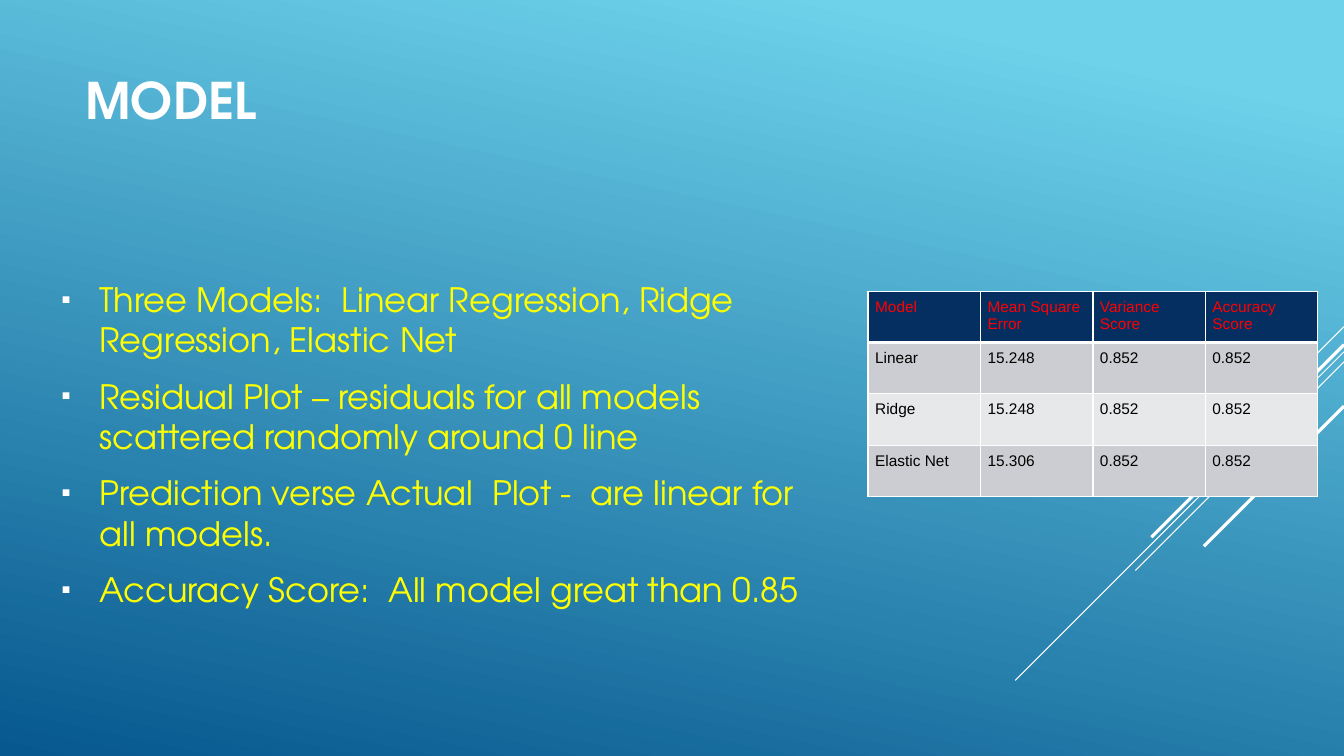
import dataclasses

import pptx
import pptx.dml.color
import pptx.enum.shapes
import pptx.enum.text
import pptx.oxml
import pptx.oxml.ns
import pptx.util
from pptx.util import Inches, Pt


@dataclasses.dataclass(frozen=True)
class Theme:
    """Colours, fonts and type sizes of the slide."""
    sky: str = "6ED2EB"
    deep: str = "06588E"
    white: str = "FFFFFF"
    bullet_text: str = "FFFF00"
    header_fill: str = "052F61"
    header_text: str = "FF0000"
    cell_text: str = "000000"
    bands: tuple = ("CCCDD2", "E7E8EA")
    display_font: str = "TeX Gyre Adventor"
    table_font: str = "Arial"
    title_size: float = 36
    body_size: float = 24
    table_size: float = 11


THEME = Theme()
WIDTH, HEIGHT = 13.33, 7.5
RAYS = [(3.24, 1, 0.75), (3.49, 3.26, 0.75), (3.59, 2.07, 0.75),
        (3.42, 1.91, 2.25), (4.03, 1.39, 2.25)]
BULLETS = [
    "Three Models:  Linear Regression, Ridge Regression, Elastic Net",
    "Residual Plot – residuals for all models scattered randomly around 0 line",
    "Prediction verse Actual  Plot -  are linear for all models.",
    "Accuracy Score:  All model great than 0.85",
]
SCORES = [
    ("Model", "Mean Square Error", "Variance Score", "Accuracy Score"),
    ("Linear", "15.248", "0.852", "0.852"),
    ("Ridge", "15.248", "0.852", "0.852"),
    ("Elastic Net", "15.306", "0.852", "0.852"),
]


def rgb(colour):
    """Turn a hex string into a colour."""
    return pptx.dml.color.RGBColor.from_string(colour)


def xml(markup):
    """Parse a DrawingML element whose start tag ends at the first space or slash."""
    head, rest = markup.split(" ", 1)
    return pptx.oxml.parse_xml(f"{head} {pptx.oxml.ns.nsdecls('a')} {rest}")


def write(para, text, *, size, colour, font, bold=False):
    """Add a formatted span of text to a paragraph."""
    span = para.add_run()
    span.text = text
    span.font.size = Pt(size)
    span.font.name = font
    span.font.bold = bold
    span.font.color.rgb = rgb(colour)


def add_frame(page, left, top, width, height):
    """Add a wrapping, vertically centred text box and return its frame."""
    box = page.shapes.add_textbox(Inches(left), Inches(top), Inches(width), Inches(height))
    frame = box.text_frame
    frame.word_wrap = True
    frame.vertical_anchor = pptx.enum.text.MSO_ANCHOR.MIDDLE
    return frame


def paint_background(page):
    """Fill the page with the slanted blue gradient."""
    fill = page.background.fill
    fill.gradient()
    fill.gradient_angle = 258
    stops = zip(fill.gradient_stops, (0.1, 1), (THEME.sky, THEME.deep))
    for stop, position, colour in stops:
        stop.position = position
        stop.color.rgb = rgb(colour)


def draw_rays(page, right):
    """Draw the diagonal rays falling leftwards from the right edge."""
    for top, reach, weight in RAYS:
        ray = page.shapes.add_connector(
            pptx.enum.shapes.MSO_CONNECTOR.STRAIGHT,
            Inches(right), Inches(top), Inches(right - reach), Inches(top + reach))
        ray.line.color.rgb = rgb(THEME.white)
        ray.line.width = Pt(weight)
        ray._element.spPr.append(xml("<a:effectLst />"))


def add_title(page, left, top, width, height):
    """Place the slide title."""
    frame = add_frame(page, left, top, width, height)
    write(frame.paragraphs[0], "MODEL", size=THEME.title_size,
          colour=THEME.white, font=THEME.display_font, bold=True)


def add_bullets(page, left, top, width, height):
    """Place the bulleted findings."""
    frame = add_frame(page, left, top, width, height)
    for index, text in enumerate(BULLETS):
        para = frame.add_paragraph() if index else frame.paragraphs[0]
        para.space_before = Pt(5.5)
        para.space_after = Pt(6)
        props = para._p.get_or_add_pPr()
        props.set("marL", str(Inches(0.38)))
        props.set("indent", str(Inches(-0.38)))
        for markup in (f'<a:buClr ><a:srgbClr val="{THEME.white}"/></a:buClr>',
                       '<a:buSzPct val="80000"/>',
                       f'<a:buFont typeface="{THEME.table_font}"/>',
                       '<a:buChar char="▪"/>'):
            props.append(xml(markup))
        write(para, text, size=THEME.body_size,
              colour=THEME.bullet_text, font=THEME.display_font)


def set_borders(cell, top, bottom):
    """Give a cell white borders with the top and bottom weights in points."""
    props = cell._tc.get_or_add_tcPr()
    for side, weight in (("L", 1), ("R", 1), ("T", top), ("B", bottom)):
        props.append(xml(
            f'<a:ln{side} w="{Pt(weight)}"><a:solidFill><a:srgbClr val="{THEME.white}"/>'
            f'</a:solidFill></a:ln{side}>'))


def add_scores(page, left, top, width, height):
    """Place the table of model scores."""
    rows, columns = len(SCORES), len(SCORES[0])
    header_height = 0.49
    table = page.shapes.add_table(rows, columns, Inches(left), Inches(top),
                                  Inches(width), Inches(height)).table
    for column in table.columns:
        column.width = Inches(width / columns)
    for index, (row, values) in enumerate(zip(table.rows, SCORES)):
        header = index == 0
        row.height = Inches(header_height if header else (height - header_height) / (rows - 1))
        for cell, value in zip(row.cells, values):
            cell.margin_left = cell.margin_right = Inches(0.07)
            cell.margin_top = cell.margin_bottom = Inches(0.07)
            set_borders(cell, 3 if index == 1 else 1, 3 if header else 1)
            cell.fill.solid()
            cell.fill.fore_color.rgb = rgb(
                THEME.header_fill if header else THEME.bands[(index - 1) % 2])
            write(cell.text_frame.paragraphs[0], value, size=THEME.table_size,
                  colour=THEME.header_text if header else THEME.cell_text,
                  font=THEME.table_font)


def main():
    """Build the model slide and save the deck."""
    deck = pptx.Presentation()
    deck.slide_width, deck.slide_height = Inches(WIDTH), Inches(HEIGHT)
    page = deck.slides.add_slide(deck.slide_layouts[6])
    paint_background(page)
    draw_rays(page, WIDTH)
    add_bullets(page, 0.51, 2.06, 7.8, 4.69)
    add_title(page, 0.75, 0.19, 11, 1.59)
    add_scores(page, 8.61, 2.89, 4.46, 2.02)
    deck.save("out.pptx")


if __name__ == "__main__":
    main()
